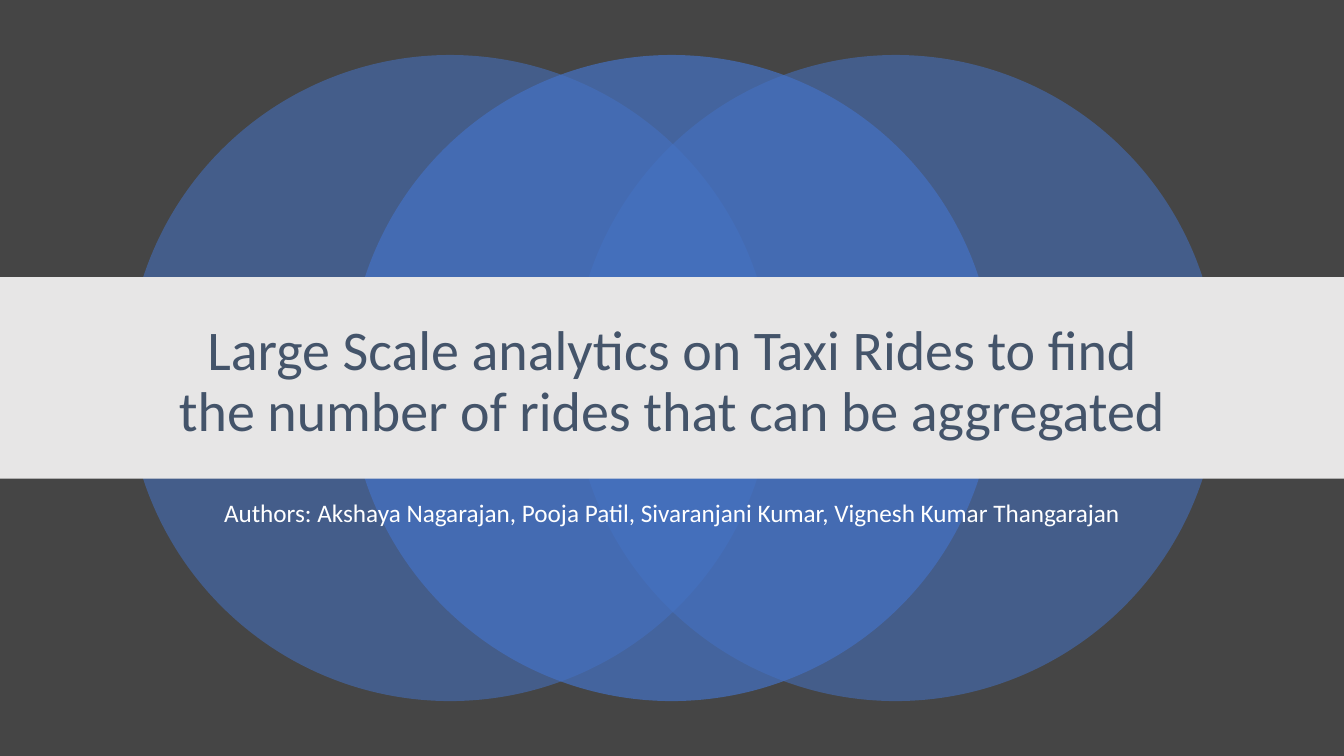
from lxml import etree
from pptx import Presentation
from pptx.dml.color import RGBColor
from pptx.enum.shapes import MSO_SHAPE
from pptx.enum.text import MSO_ANCHOR, MSO_AUTO_SIZE, PP_ALIGN
from pptx.oxml.ns import qn
from pptx.util import Pt

OVAL, RECT = MSO_SHAPE.OVAL, MSO_SHAPE.RECTANGLE
TOP, MIDDLE = MSO_ANCHOR.TOP, MSO_ANCHOR.MIDDLE
CENTER = PP_ALIGN.CENTER
NO_FIT = MSO_AUTO_SIZE.NONE

CHARCOAL = RGBColor(0x45, 0x45, 0x45)
BLUE = RGBColor(0x44, 0x72, 0xC4)
LIGHT_GRAY = RGBColor(0xE7, 0xE6, 0xE6)
SLATE = RGBColor(0x44, 0x54, 0x6A)
WHITE = RGBColor(0xFF, 0xFF, 0xFF)

WIDTH, HEIGHT = 960, 540
DIAMETER = 461.5
CIRCLE_TOP = 39.3
CIRCLES = [(90.7, 55), (409, 55), (249.1, 70)]
TEXT_LEFT, TEXT_WIDTH = 120, 720

TITLE = ("Large Scale analytics on Taxi Rides to find "
         "the number of rides that can be aggregated")
AUTHORS = ("Authors: Akshaya Nagarajan, Pooja Patil, "
           "Sivaranjani Kumar, Vignesh Kumar Thangarajan")


def add_filled(shapes, kind, left, top, width, height, color, opacity=100):
    sp = shapes.add_shape(kind, Pt(left), Pt(top), Pt(width), Pt(height))
    sp.shadow.inherit = False
    sp.line.fill.background()
    sp.fill.solid()
    sp.fill.fore_color.rgb = color
    if opacity < 100:
        clr = sp.element.spPr.find(".//" + qn("a:srgbClr"))
        etree.SubElement(clr, qn("a:alpha")).set("val", str(opacity * 1000))
    return sp


def add_circles(s):
    group = s.shapes.add_group_shape()
    for left, opacity in CIRCLES:
        add_filled(group.shapes, OVAL, left, CIRCLE_TOP, DIAMETER, DIAMETER,
                   BLUE, opacity)


def write_text(sp, text, *, top, height, size, color, anchor, before=0):
    sp.left, sp.top = Pt(TEXT_LEFT), Pt(top)
    sp.width, sp.height = Pt(TEXT_WIDTH), Pt(height)
    tf = sp.text_frame
    tf.word_wrap = True
    tf.auto_size = NO_FIT
    tf.vertical_anchor = anchor
    p = tf.paragraphs[0]
    p.alignment = CENTER
    p.line_spacing = 0.9
    p.space_before = Pt(before)
    r = p.add_run()
    r.text = text
    r.font.name = "Calibri"
    r.font.size = Pt(size)
    r.font.color.rgb = color


def bring_to_front(sp):
    sp.element.getparent().append(sp.element)


def main():
    prs = Presentation()
    prs.slide_width, prs.slide_height = Pt(WIDTH), Pt(HEIGHT)
    s = prs.slides.add_slide(prs.slide_layouts[0])
    s.background.fill.solid()
    s.background.fill.fore_color.rgb = CHARCOAL
    title, authors = s.shapes.title, s.placeholders[1]

    add_circles(s)
    write_text(authors, AUTHORS, top=354.2, height=60, size=18, color=WHITE,
               anchor=TOP, before=10)
    bring_to_front(authors)
    add_filled(s.shapes, RECT, 0, 198, WIDTH, 144, LIGHT_GRAY)
    write_text(title, TITLE, top=219, height=108.7, size=40, color=SLATE,
               anchor=MIDDLE)
    bring_to_front(title)

    prs.save("out.pptx")


if __name__ == "__main__":
    main()
